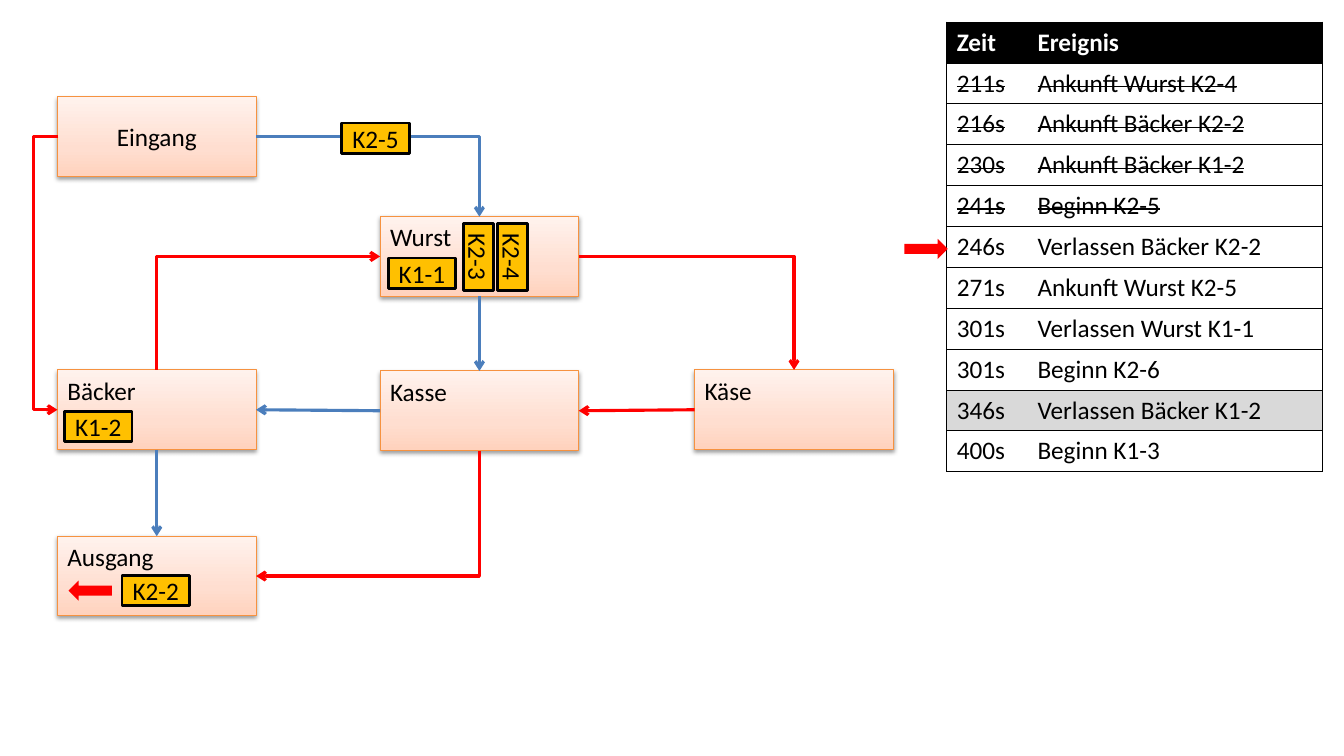
import copy
from dataclasses import dataclass

import pptx
import pptx.dml.color
import pptx.enum.shapes
import pptx.enum.text
import pptx.oxml
import pptx.oxml.ns
import pptx.util
from pptx.util import Inches

RED, BLUE, BLACK, WHITE, AMBER = "FF0000", "4B7EBC", "000000", "FFFFFF", "FFC000"
ORANGE, GREY = "F69240", "D9D9D9"
STATION_GRADIENT = [(0, "FFD2BD"), (0.35, "FFDED0"), (1, "FFF2ED")]
STATION_WIDTH, STATION_HEIGHT = 1.97, 0.79
TOKEN_WIDTH, TOKEN_HEIGHT = 0.67, 0.3
TOP, LEFT, BOTTOM, RIGHT = range(4)
LOOP_DEPTH, LOOP_OFFSET = 0.25, 0.01
TABLE_HEIGHT = 4.46
SHAPES = pptx.enum.shapes.MSO_SHAPE
CONNECTORS = pptx.enum.shapes.MSO_CONNECTOR
ANCHORS = pptx.enum.text.MSO_ANCHOR
ALIGNMENTS = pptx.enum.text.PP_ALIGN


@dataclass
class Station:
    name: str
    left: float
    top: float
    centred: bool = False

    def side(self, index: int) -> tuple[float, float]:
        """Return the middle of one side of the rectangle."""
        across = {LEFT: 0, RIGHT: 1}.get(index, 0.5)
        down = {TOP: 0, BOTTOM: 1}.get(index, 0.5)
        return self.left + across * STATION_WIDTH, self.top + down * STATION_HEIGHT


@dataclass
class Route:
    start: str
    start_side: int
    end: str
    end_side: int
    color: str
    bent: bool = False


@dataclass
class Token:
    name: str
    left: float
    top: float
    rotation: int = 0


@dataclass
class Event:
    time: str
    text: str
    done: bool = False
    shaded: bool = False


STATIONS = [
    Station("Bäcker", 0.57, 3.67),
    Station("Eingang", 0.57, 0.96, centred=True),
    Station("Wurst", 3.77, 2.15),
    Station("Käse", 6.89, 3.67),
    Station("Kasse", 3.77, 3.68),
    Station("Ausgang", 0.57, 5.32),
]
ROUTES = [
    Route("Eingang", RIGHT, "Wurst", TOP, BLUE, bent=True),
    Route("Wurst", BOTTOM, "Kasse", TOP, BLUE),
    Route("Wurst", RIGHT, "Käse", TOP, RED, bent=True),
    Route("Käse", LEFT, "Kasse", RIGHT, RED),
    Route("Kasse", LEFT, "Bäcker", RIGHT, BLUE),
    Route("Bäcker", BOTTOM, "Ausgang", TOP, BLUE),
    Route("Bäcker", TOP, "Wurst", LEFT, RED, bent=True),
    Route("Eingang", LEFT, "Bäcker", LEFT, RED, bent=True),
    Route("Kasse", BOTTOM, "Ausgang", RIGHT, RED, bent=True),
]
TOKENS = [
    Token("K1-1", 3.85, 2.56),
    Token("K2-2", 1.21, 5.71),
    Token("K2-3", 4.41, 2.4, rotation=90),
    Token("K2-4", 4.75, 2.4, rotation=90),
    Token("K1-2", 0.64, 4.08),
    Token("K2-5", 3.39, 1.22),
]
EVENTS = [
    Event("211s", "Ankunft Wurst K2-4", done=True),
    Event("216s", "Ankunft Bäcker K2-2", done=True),
    Event("230s", "Ankunft Bäcker K1-2", done=True),
    Event("241s", "Beginn K2-5", done=True),
    Event("246s", "Verlassen Bäcker K2-2"),
    Event("271s", "Ankunft Wurst K2-5"),
    Event("301s", "Verlassen Wurst K1-1"),
    Event("301s", "Beginn K2-6"),
    Event("346s", "Verlassen Bäcker K1-2", shaded=True),
    Event("400s", "Beginn K1-3"),
]


def rgb(color: str) -> pptx.dml.color.RGBColor:
    return pptx.dml.color.RGBColor.from_string(color)


def drawing_element(tag: str, attributes: str = "", content: str = ""):
    """Build one DrawingML element from its parts."""
    namespace = pptx.oxml.ns.nsdecls("a")
    return pptx.oxml.parse_xml(f"<a:{tag} {namespace} {attributes}>{content}</a:{tag}>")


def add_run(paragraph, text: str, color: str = BLACK):
    run = paragraph.add_run()
    run.text = text
    run.font.name = "Calibri"
    run.font.size = pptx.util.Pt(18)
    run.font.color.rgb = rgb(color)
    return run


def add_station(slide, station: Station):
    shape = slide.shapes.add_shape(SHAPES.RECTANGLE, Inches(station.left), Inches(station.top),
                                   Inches(STATION_WIDTH), Inches(STATION_HEIGHT))
    shape.fill.gradient()
    shape.fill.gradient_angle = 90
    stop_list = shape.element.spPr.find(".//" + pptx.oxml.ns.qn("a:gsLst"))
    stop_list.append(copy.deepcopy(stop_list[0]))
    for stop, (position, color) in zip(shape.fill.gradient_stops, STATION_GRADIENT):
        stop.position = position
        stop.color.rgb = rgb(color)
    shape.line.color.rgb = rgb(ORANGE)
    shape.line.width = pptx.util.Pt(0.75)
    shape.element.spPr.append(drawing_element("effectLst", content=(
        '<a:outerShdw blurRad="40000" dist="20000" dir="5400000" rotWithShape="0">'
        f'<a:srgbClr val="{BLACK}"><a:alpha val="38000"/></a:srgbClr></a:outerShdw>')))
    shape.text_frame.vertical_anchor = ANCHORS.MIDDLE if station.centred else ANCHORS.TOP
    paragraph = shape.text_frame.paragraphs[0]
    paragraph.alignment = ALIGNMENTS.CENTER if station.centred else ALIGNMENTS.LEFT
    add_run(paragraph, station.name)
    return shape


def add_flat_shape(slide, kind, left: float, top: float, width: float, height: float, fill: str):
    shape = slide.shapes.add_shape(kind, Inches(left), Inches(top), Inches(width), Inches(height))
    shape.shadow.inherit = False
    shape.fill.solid()
    shape.fill.fore_color.rgb = rgb(fill)
    shape.line.fill.background()
    return shape


def add_token(slide, token: Token) -> None:
    shape = add_flat_shape(slide, SHAPES.RECTANGLE, token.left, token.top, TOKEN_WIDTH, TOKEN_HEIGHT, AMBER)
    shape.rotation = token.rotation
    shape.line.color.rgb = rgb(BLACK)
    shape.line.width = pptx.util.Pt(2)
    shape.text_frame.vertical_anchor = ANCHORS.MIDDLE
    shape.text_frame.word_wrap = False
    paragraph = shape.text_frame.paragraphs[0]
    paragraph.alignment = ALIGNMENTS.CENTER
    add_run(paragraph, token.name)


def add_route(slide, route: Route, stations: dict, shapes: dict) -> None:
    """Join two stations; a bent route leaving upwards or downwards is a quarter turn."""
    start_x, start_y = stations[route.start].side(route.start_side)
    end_x, end_y = stations[route.end].side(route.end_side)
    loop = route.bent and route.start_side == route.end_side
    turned = route.bent and route.start_side in (TOP, BOTTOM)
    if loop:
        start_x += LOOP_OFFSET
    if turned:
        middle_x, middle_y = (start_x + end_x) / 2, (start_y + end_y) / 2
        half_x, half_y = (end_x - start_x) / 2, (end_y - start_y) / 2
        start_x, start_y = middle_x - half_y, middle_y + half_x
        end_x, end_y = middle_x + half_y, middle_y - half_x
    kind = CONNECTORS.ELBOW if route.bent else CONNECTORS.STRAIGHT
    connector = slide.shapes.add_connector(kind, Inches(start_x), Inches(start_y), Inches(end_x), Inches(end_y))
    properties = connector.element.spPr
    geometry = properties.find(pptx.oxml.ns.qn("a:prstGeom"))
    if loop:
        bend = round(LOOP_DEPTH / LOOP_OFFSET * 100000)
        geometry[0].append(drawing_element("gd", f'name="adj1" fmla="val {bend}"'))
    elif route.bent:
        geometry.set("prst", "bentConnector2")
    else:
        connector.begin_connect(shapes[route.start], route.start_side)
        connector.end_connect(shapes[route.end], route.end_side)
    if turned:
        properties.find(pptx.oxml.ns.qn("a:xfrm")).set("rot", "5400000")
    connector.line.color.rgb = rgb(route.color)
    connector.line.width = pptx.util.Pt(2.25)
    properties.find(pptx.oxml.ns.qn("a:ln")).append(drawing_element("tailEnd", 'type="arrow"'))
    properties.append(drawing_element("effectLst"))


def format_cell(cell, text: str, fill: str | None, header: bool, strike: bool, inner: str) -> None:
    """Fill one cell and rule every side but the inner one."""
    run = add_run(cell.text_frame.paragraphs[0], text, WHITE if header else BLACK)
    run.font.bold = header
    if strike:
        run.font._element.set("strike", "sngStrike")
    if fill:
        cell.fill.solid()
        cell.fill.fore_color.rgb = rgb(fill)
    else:
        cell.fill.background()
    for index, side in enumerate("LRTB"):
        paint = "<a:noFill/>" if side == inner else f'<a:solidFill><a:srgbClr val="{BLACK}"/></a:solidFill>'
        cell._tc.tcPr.insert(index, drawing_element(f"ln{side}", 'w="9525"', paint))


def add_event_table(slide) -> None:
    rows = [Event("Zeit", "Ereignis"), *EVENTS]
    table = slide.shapes.add_table(len(rows), 2, Inches(9.39), Inches(0.22), Inches(3.73),
                                   Inches(TABLE_HEIGHT)).table
    for column, width in zip(table.columns, (0.8, 2.93)):
        column.width = Inches(width)
    for row, event in enumerate(rows):
        header = row == 0
        fill = BLACK if header else GREY if event.shaded else None
        for column, text in enumerate((event.time, event.text)):
            format_cell(table.cell(row, column), text, fill, header, event.done, "RL"[column])


def main() -> None:
    presentation = pptx.Presentation()
    presentation.slide_width, presentation.slide_height = Inches(13.33), Inches(7.5)
    slide = presentation.slides.add_slide(presentation.slide_layouts[6])
    add_event_table(slide)
    add_flat_shape(slide, SHAPES.RIGHT_ARROW, 8.97, 2.37, 0.43, 0.2, RED)
    stations = {station.name: station for station in STATIONS}
    shapes = {station.name: add_station(slide, station) for station in STATIONS}
    for route in ROUTES:
        add_route(slide, route, stations, shapes)
    for token in TOKENS:
        add_token(slide, token)
    add_flat_shape(slide, SHAPES.LEFT_ARROW, 0.68, 5.76, 0.43, 0.2, RED)
    presentation.save("out.pptx")


if __name__ == "__main__":
    main()
